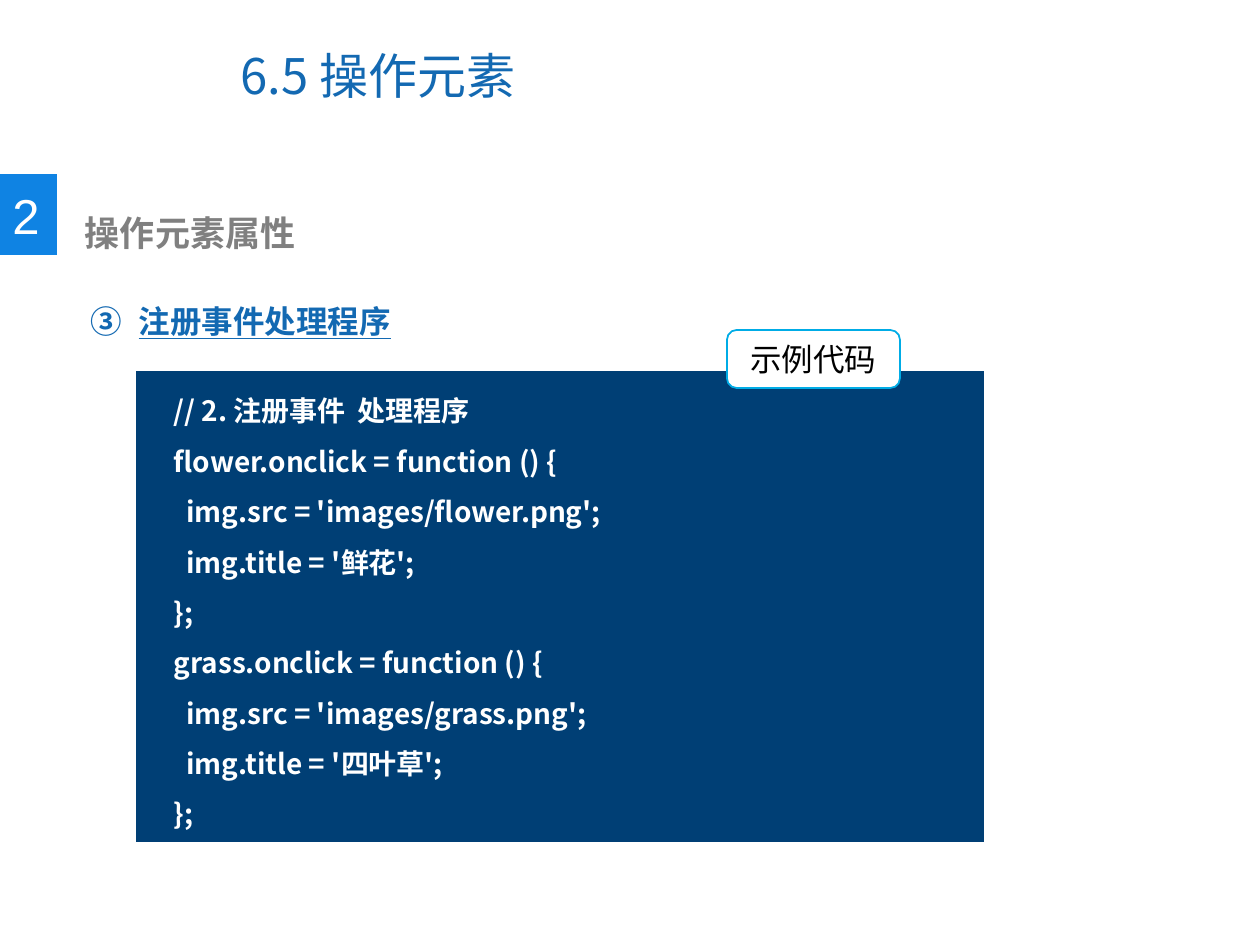
from lxml.etree import SubElement
from pptx import Presentation
from pptx.dml.color import RGBColor
from pptx.enum.shapes import MSO_SHAPE
from pptx.enum.text import MSO_ANCHOR, MSO_AUTO_SIZE, PP_ALIGN
from pptx.oxml.ns import qn
from pptx.util import Emu, Pt

EMU_PER_PX = 914400 / 126
SANS, ARIAL = "Noto Sans CJK SC", "Arial"
BLUE, WHITE, BLACK = "1369B2", "FFFFFF", "000000"

CODE = """\
    // 2. 注册事件  处理程序
    flower.onclick = function () {
      img.src = 'images/flower.png';
      img.title = '鲜花';
    };
    grass.onclick = function () {
      img.src = 'images/grass.png';
      img.title = '四叶草';
    };"""


def px(n):
    return Emu(round(n * EMU_PER_PX))


def rgb(color):
    return RGBColor.from_string(color)


def place(sp, box):
    sp.left, sp.top, sp.width, sp.height = map(px, box)


def write(sp, lines, size, font, color, bold=False, underline=False,
          spacing=1.0, align=PP_ALIGN.LEFT, anchor=MSO_ANCHOR.TOP, wrap=True):
    """Fill a shape with one formatted run per paragraph."""
    tf = sp.text_frame
    tf.word_wrap = wrap
    tf.auto_size = MSO_AUTO_SIZE.NONE
    tf.vertical_anchor = anchor
    for i, line in enumerate(lines):
        p = tf.paragraphs[0] if i == 0 else tf.add_paragraph()
        p.alignment = align
        p.line_spacing = spacing
        p.space_before = Pt(0)
        r = p.add_run()
        r.text = line
        r.font.size = Pt(size)
        r.font.name = font
        r.font.bold = bold
        r.font.underline = underline
        r.font.color.rgb = rgb(color)
        if font == SANS:
            SubElement(r.font._element, qn("a:ea"), typeface=font)
    return tf


def add_box(slide, kind, box, fill, line=None):
    sp = slide.shapes.add_shape(kind, *map(px, box))
    sp.shadow.inherit = False
    sp.fill.solid()
    sp.fill.fore_color.rgb = rgb(fill)
    if line:
        sp.line.color.rgb = rgb(line)
        sp.line.width = Pt(1)
    else:
        sp.line.fill.background()
    return sp


def add_label(slide, box, text, size, font, color, **style):
    sp = slide.shapes.add_textbox(*map(px, box))
    return write(sp, [text], size, font, color, **style)


def number_paragraph(p, start, indent):
    """Give a paragraph a circled number with a hanging indent."""
    pPr = p._p.get_or_add_pPr()
    pPr.set("marL", str(px(indent)))
    pPr.set("indent", str(-px(indent)))
    SubElement(pPr, qn("a:buFont"), typeface=ARIAL)
    SubElement(pPr, qn("a:buAutoNum"), type="circleNumDbPlain",
               startAt=str(start))


def main():
    prs = Presentation()
    prs.slide_width, prs.slide_height = px(1260), px(945)
    slide = prs.slides.add_slide(prs.slide_layouts[1])
    title, body = slide.placeholders

    # Title
    place(title, (228, 21, 650, 107))
    write(title, ["6.5 操作元素"], 28, SANS, BLUE, anchor=MSO_ANCHOR.MIDDLE)

    # Section number and heading
    add_box(slide, MSO_SHAPE.RECTANGLE, (0, 174, 57, 81), "0F83E3")
    add_label(slide, (0, 179, 53, 72), "2", 28, ARIAL, WHITE, wrap=False)
    heading = add_label(slide, (59, 205, 648, 55), "操作元素属性", 20, ARIAL,
                        "808080", bold=True)
    heading.margin_left = px(26)

    # Numbered step
    place(body, (78, 258, 1090, 77))
    tf = write(body, ["注册事件处理程序"], 18, ARIAL, BLUE, bold=True,
               underline=True, spacing=2.0)
    number_paragraph(tf.paragraphs[0], start=3, indent=48)

    # Code panel with its tag
    panel = add_box(slide, MSO_SHAPE.RECTANGLE, (136, 371, 848, 471), "003F75")
    write(panel, CODE.split("\n"), 16, SANS, WHITE, bold=True, spacing=1.5)
    tag = add_box(slide, MSO_SHAPE.ROUNDED_RECTANGLE, (727, 330, 173, 58),
                  WHITE, line="00ACE6")
    write(tag, ["示例代码"], 18, ARIAL, BLACK, align=PP_ALIGN.CENTER,
          anchor=MSO_ANCHOR.MIDDLE)

    prs.save("out.pptx")


if __name__ == "__main__":
    main()
